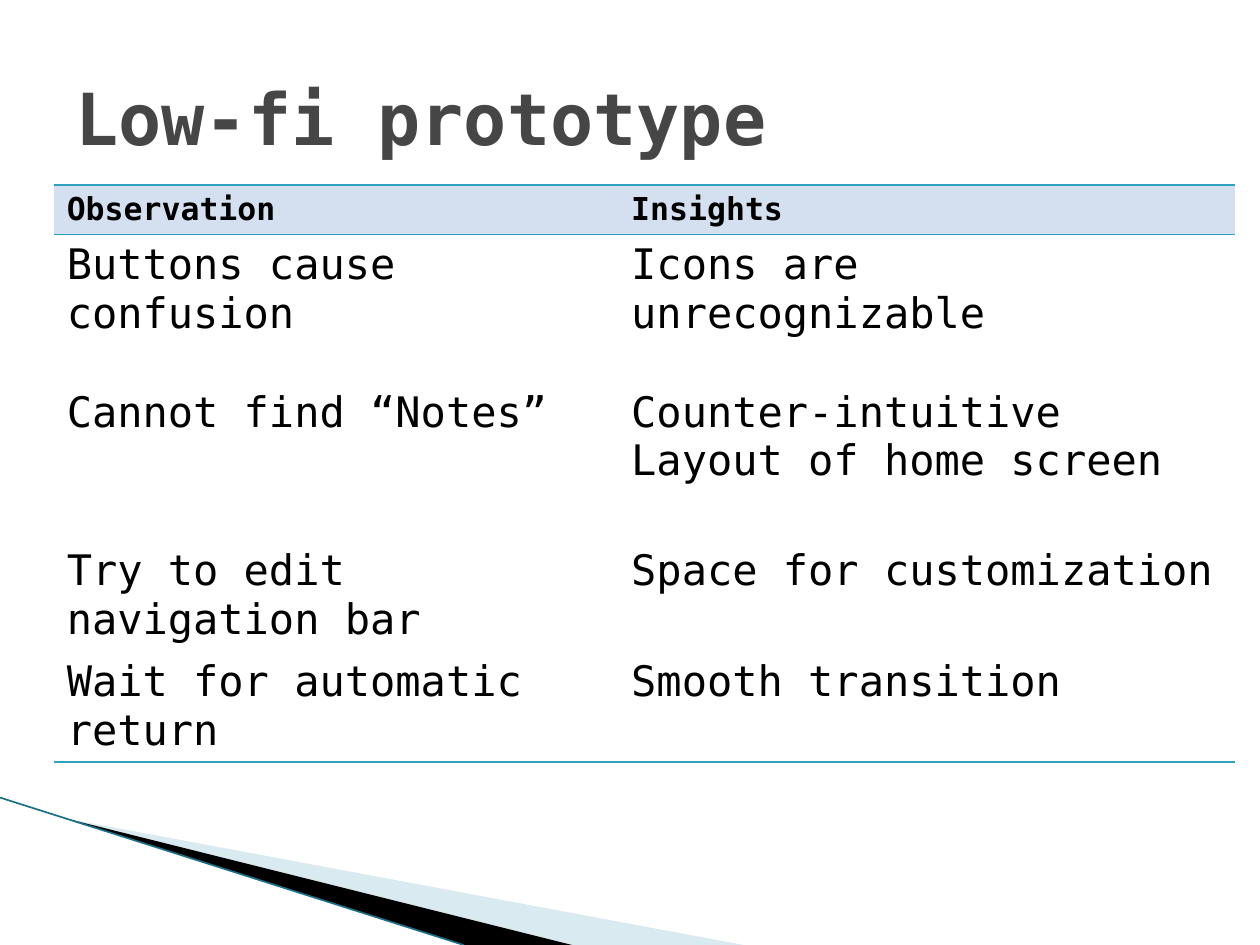
import pptx
import pptx.util
import pptx.dml.color
import pptx.enum.shapes
import pptx.enum.text
import pptx.oxml
import pptx.oxml.ns

WIDE, HIGH = 10, 7.5
FONT = "DejaVu Sans Mono"
HUES = {
    "title": "464646", "text": "000000", "head": "D4DFEF", "rule": "2DA2BF",
    "pale": "A0CBDC", "dark": "000000", "edge": "1B7088",
}
COLS = [4.48, 4.89]
ROWS = [0.39, 1.17, 1.26, 0.88, 0.88]
CELLS = [
    ("Observation", "Insights"),
    ("Buttons cause confusion", "Icons are unrecognizable"),
    ("Cannot find “Notes”", "Counter-intuitive Layout of home screen"),
    ("Try to edit navigation bar", "Space for customization"),
    ("Wait for automatic return", "Smooth transition"),
]


def inch(size):
    """Turn inches into a length."""
    return pptx.util.Inches(size)


def tint(name):
    """Look up a colour by name."""
    return pptx.dml.color.RGBColor.from_string(HUES[name])


def node(root, tag, **attrs):
    """Append a drawing element and return it."""
    item = pptx.oxml.parse_xml(f"<a:{tag} {pptx.oxml.ns.nsdecls('a')}/>")
    for key, value in attrs.items():
        item.set(key, str(value))
    root.append(item)
    return item


def write(frame, text, size=24, bold=False, hue="text"):
    """Put formatted text in a text frame."""
    run = frame.paragraphs[0].add_run()
    run.text = text
    font = run.font
    font.name, font.size, font.bold = FONT, pptx.util.Pt(size), bold
    font.color.rgb = tint(hue)


def title(slide, text):
    """Add the slide title."""
    box = slide.shapes.add_textbox(
        inch(0.05 * WIDE), inch(0.04 * HIGH), inch(0.9 * WIDE), inch(1.25))
    frame = box.text_frame
    frame.word_wrap = True
    frame.vertical_anchor = pptx.enum.text.MSO_ANCHOR.MIDDLE
    write(frame, text, size=41, bold=True, hue="title")


def wedge(slide, points, hue, alpha=None):
    """Add a filled outline through points in inches."""
    spots = [(inch(x), inch(y)) for x, y in points]
    path = slide.shapes.build_freeform(*spots[0])
    path.add_line_segments(spots[1:], close=True)
    shape = path.convert_to_shape()
    shape.shadow.inherit = False
    shape.fill.solid()
    shape.fill.fore_color.rgb = tint(hue)
    shape.line.fill.background()
    if alpha:
        color = shape.fill._xPr.find(".//" + pptx.oxml.ns.qn("a:srgbClr"))
        node(color, "alpha", val=alpha * 1000)


def edge(slide, start, end):
    """Add the thin line along the wedge."""
    line = slide.shapes.add_connector(
        pptx.enum.shapes.MSO_CONNECTOR.STRAIGHT,
        *(inch(value) for value in start + end))
    line.line.color.rgb = tint("edge")
    line.line.width = pptx.util.Pt(0.95)
    node(line._element.spPr, "effectLst")


def rules(cell, sides):
    """Draw the given sides of a cell and clear the others."""
    props = cell._tc.get_or_add_tcPr()
    fill = props[0]
    for side in "LRTB":
        line = node(props, "ln" + side, w=12700 if side in sides else 0)
        if side in sides:
            node(node(line, "solidFill"), "srgbClr", val=HUES["rule"])
        else:
            node(line, "noFill")
    props.append(fill)


def table(slide):
    """Add the table of observations and insights."""
    grid = slide.shapes.add_table(
        len(ROWS), len(COLS), inch(0.43), inch(1.47),
        inch(sum(COLS)), inch(sum(ROWS))).table
    grid.horz_banding = False
    for col, width in zip(grid.columns, COLS):
        col.width = inch(width)
    for row, height in zip(grid.rows, ROWS):
        row.height = inch(height)
    last = len(ROWS) - 1
    for r, texts in enumerate(CELLS):
        head = r == 0
        sides = {0: "TB", 1: "T", last: "B"}.get(r, "")
        for c, text in enumerate(texts):
            cell = grid.cell(r, c)
            cell.margin_bottom = inch(0.02)
            if head:
                cell.fill.solid()
                cell.fill.fore_color.rgb = tint("head")
            else:
                cell.fill.background()
            rules(cell, sides)
            write(cell.text_frame, text, size=18 if head else 24, bold=head)


def main():
    """Build and save the slide."""
    deck = pptx.Presentation()
    deck.slide_width, deck.slide_height = inch(WIDE), inch(HIGH)
    slide = deck.slides.add_slide(deck.slide_layouts[6])
    tip = (0.54, 6.5)
    wedge(slide, [tip, (5.9, HIGH), (4.54, HIGH)], "pale", alpha=40)
    wedge(slide, [tip, (4.54, HIGH), (3.68, HIGH)], "dark")
    edge(slide, (0, 6.33), (3.68, HIGH))
    title(slide, "Low-fi prototype")
    table(slide)
    deck.save("out.pptx")


main()
